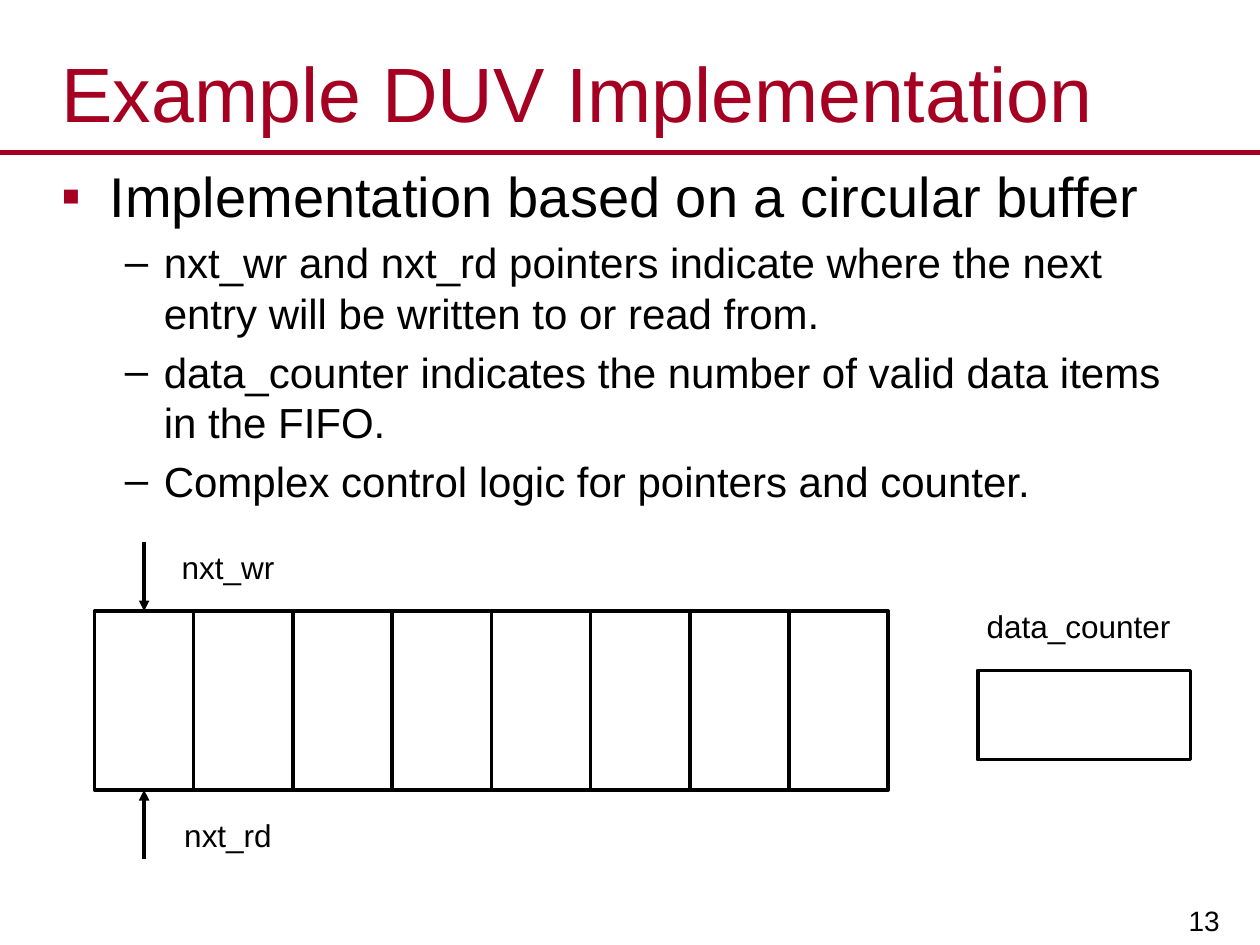
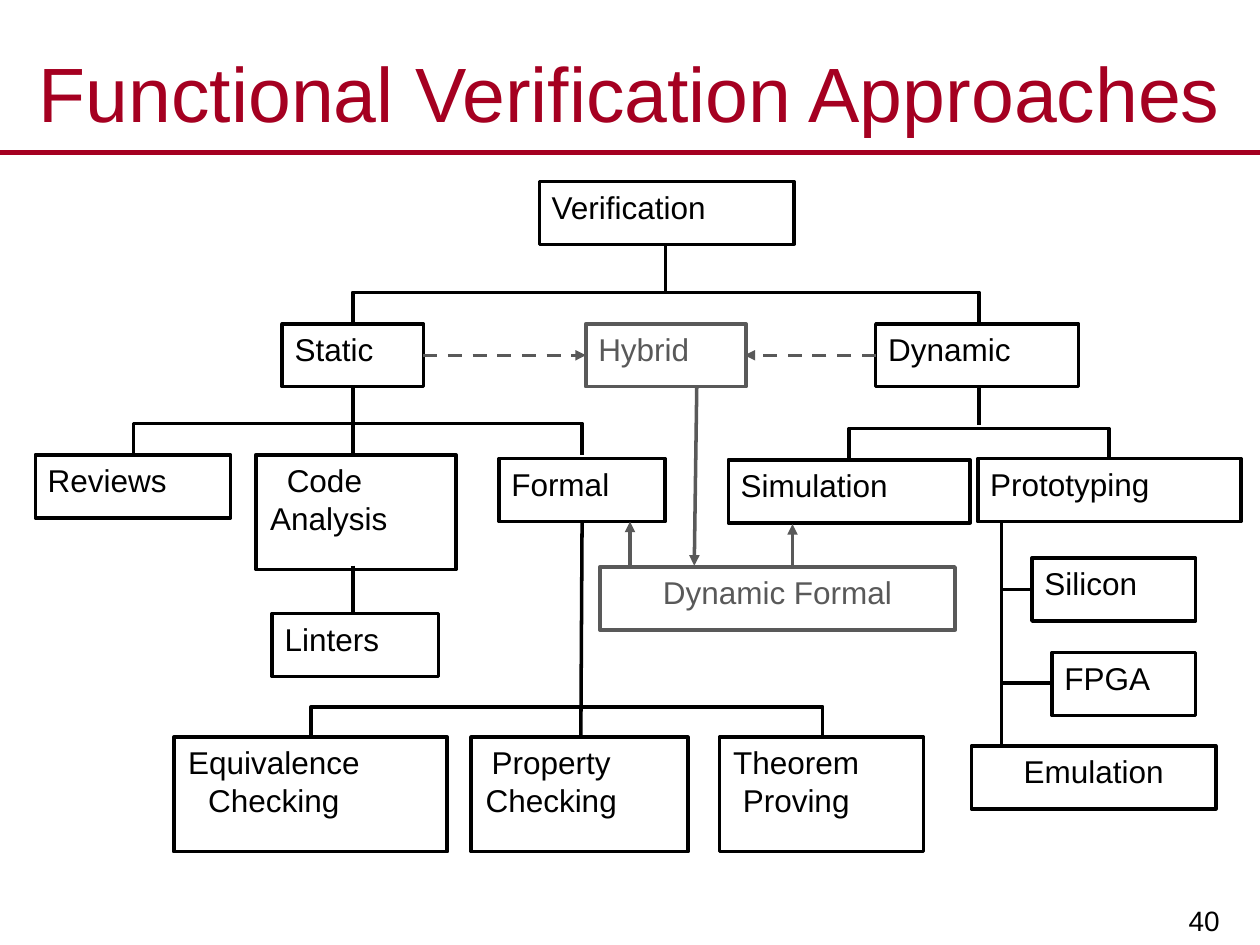
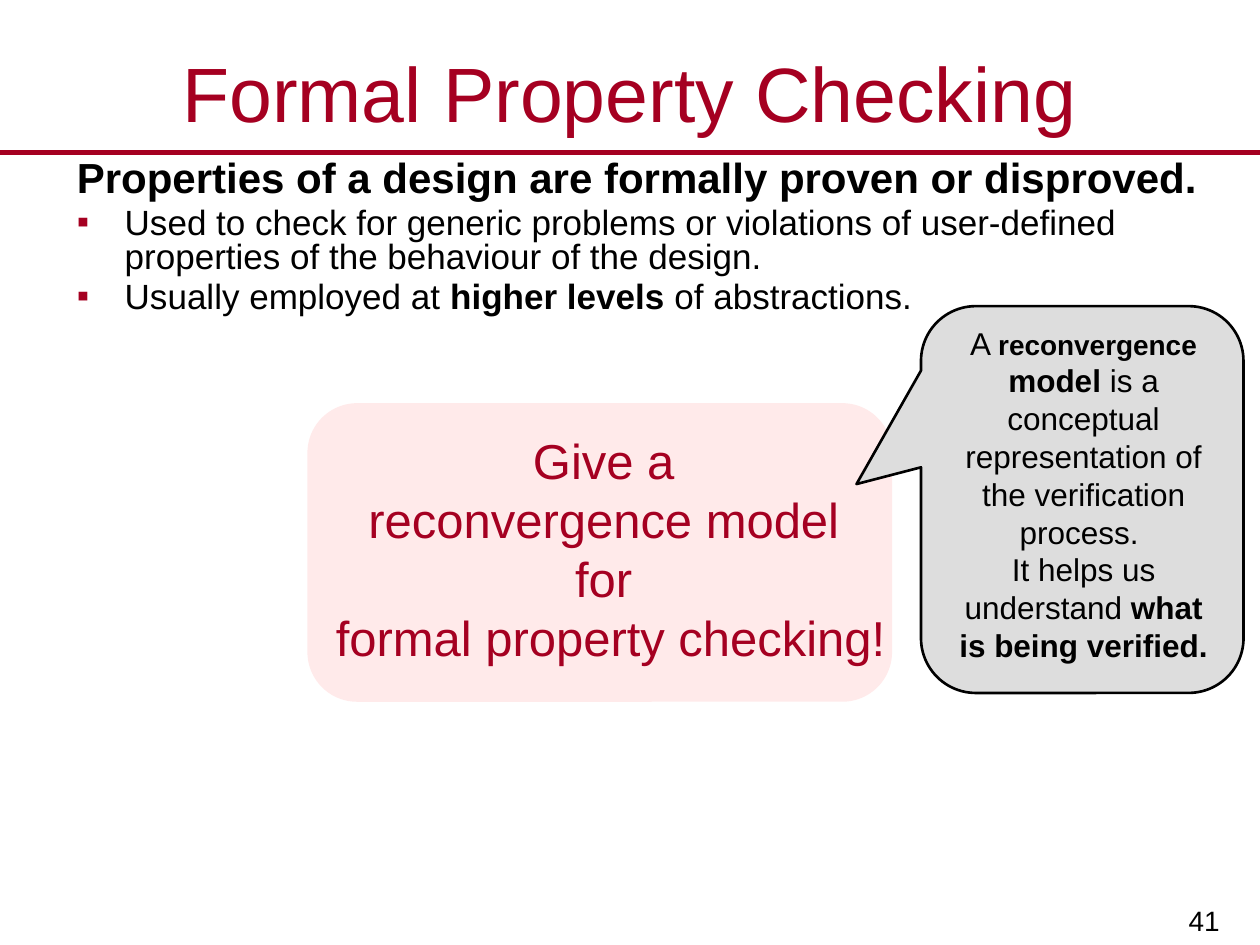
"""Build three slides on functional verification, laid out on a grid of 100 columns by 75 rows."""
from lxml.etree import SubElement
from pptx import Presentation
from pptx.dml.color import RGBColor
from pptx.enum.dml import MSO_LINE
from pptx.enum.shapes import MSO_CONNECTOR, MSO_SHAPE
from pptx.enum.text import MSO_ANCHOR, MSO_AUTO_SIZE, PP_ALIGN
from pptx.oxml.ns import qn
from pptx.util import Inches, Pt

FONT = "Arial"
RED = RGBColor(0xA5, 0x00, 0x21)
BLACK = RGBColor(0x00, 0x00, 0x00)
GREY = RGBColor(0x59, 0x59, 0x59)
SILVER = RGBColor(0xDD, 0xDD, 0xDD)
PINK = RGBColor(0xFF, 0xCC, 0xCC)

COLS, ROWS = 100, 75
TITLE_ONLY, TITLE_AND_BODY = 5, 1
CELLS = 8
LEG = 2.5

NODES = {
    "Verification": (42.8, 14.4, 20.2, 5),
    "Static": (22.4, 25.7, 11.2, 5),
    "Dynamic": (69.5, 25.7, 16.1, 5),
    "Reviews": (2.8, 36.1, 15.5, 5),
    "Formal": (39.6, 36.4, 13.2, 5),
    "Simulation": (57.8, 36.5, 19.2, 5),
    "Prototyping": (77.6, 36.4, 20.9, 5),
    "Linters": (21.6, 48.7, 13.2, 5),
    "Silicon": (81.9, 44.3, 13, 5),
    "FPGA": (83.5, 51.8, 11.4, 5),
}
PAIRS = [
    (("Code ", "Analysis"), (20.3, 36.1, 15.9, 9.1), 9.6),
    (("Equivalence", "Checking"), (13.8, 58.5, 21.7, 9.1), 13.9),
    (("Property", "Checking"), (37.4, 58.5, 17.2, 9.1), 10.7),
    (("Theorem", "Proving"), (57.1, 58.5, 16.2, 9.1), 10.2),
]
BRACKETS = [(28, 77.7, 25.7), (10.6, 46.2, 36.1), (67.4, 88, 36.5), (24.7, 65.3, 58.6)]
LINKS = [
    (52.8, 19.5, 52.8, 23.2), (28, 30.8, 28, 36.1), (77.7, 30.8, 77.7, 33.7),
    (28, 44.9, 28, 48.7), (46.2, 41.4, 46.1, 58.5), (79.5, 41.3, 79.5, 59.4),
    (79.5, 46.8, 81.9, 46.8), (79.5, 54.2, 83.3, 54.2),
]
HYBRID_ARROWS = [
    (62.9, 44.9, 62.9, 41.6, False), (50, 44.9, 50, 41.4, False),
    (55.3, 30.7, 55.1, 44.9, False), (33.6, 28.2, 46.5, 28.2, True),
    (69.5, 28.2, 59.1, 28.2, True),
]


def grid(*cells):
    """Turn grid counts into lengths."""
    return [Inches(n / 10) for n in cells]


def style(p, size, color=BLACK, align=None, bold=None):
    """Set the font and alignment of a paragraph."""
    p.font.name, p.font.size, p.font.bold = FONT, Pt(size), bold
    p.font.color.rgb = color
    p.alignment = align


def add_runs(p, runs):
    """Add runs given as text, or as text with bold and an optional size."""
    for run in [runs] if isinstance(runs, str) else runs:
        text, bold, size = (run, None, None) if isinstance(run, str) else (*run, None)[:3]
        r = p.add_run()
        r.text, r.font.bold = text, bold
        if size:
            r.font.size = Pt(size)


def write(sp, paragraphs, size, color=BLACK, align=PP_ALIGN.CENTER):
    """Write paragraphs at the top of a shape."""
    tf = sp.text_frame
    tf.word_wrap, tf.vertical_anchor = True, MSO_ANCHOR.TOP
    for i, runs in enumerate(paragraphs):
        p = tf.add_paragraph() if i else tf.paragraphs[0]
        style(p, size, color, align)
        add_runs(p, runs)
    return tf


def add_label(slide, cells, paragraphs, size=18, color=BLACK, align=PP_ALIGN.CENTER):
    """Add a plain text box."""
    return write(slide.shapes.add_textbox(*grid(*cells)), paragraphs, size, color, align)


def outline(sp, color=BLACK, width=2):
    """Leave a shape unfilled with a plain outline and no shadow."""
    sp.shadow.inherit = False
    sp.fill.background()
    sp.line.color.rgb, sp.line.width = color, Pt(width)
    return sp


def add_box(slide, cells, kind=MSO_SHAPE.RECTANGLE, color=BLACK, width=2):
    """Add an outlined shape."""
    return outline(slide.shapes.add_shape(kind, *grid(*cells)), color, width)


def add_line(slide, ends, color=BLACK, width=2, arrow=False, dashed=False):
    """Add a straight line, with an arrowhead at its end if wanted."""
    cx = slide.shapes.add_connector(MSO_CONNECTOR.STRAIGHT, *grid(*ends))
    cx.line.color.rgb, cx.line.width = color, Pt(width)
    if dashed:
        cx.line.dash_style = MSO_LINE.DASH
    sp_pr = cx._element.spPr
    if arrow:
        SubElement(sp_pr.find(qn("a:ln")), qn("a:tailEnd"), type="triangle")
    SubElement(sp_pr, qn("a:effectLst"))


def add_bracket(slide, left, right, bottom):
    """Join two nodes by a bar with a leg at each end."""
    start, *rest = [grid(*pt) for pt in (
        (left, bottom), (left, bottom - LEG), (right, bottom - LEG), (right, bottom))]
    builder = slide.shapes.build_freeform(*start)
    builder.add_line_segments(rest, close=False)
    outline(builder.convert_to_shape())


def place(sp, cells):
    """Move a placeholder onto the grid."""
    sp.left, sp.top, sp.width, sp.height = grid(*cells)
    sp.text_frame.auto_size = MSO_AUTO_SIZE.NONE
    return sp.text_frame


def add_slide(prs, layout, title, number):
    """Add a slide with its title, rule and number."""
    slide = prs.slides.add_slide(prs.slide_layouts[layout])
    add_line(slide, (0, 12.1, COLS, 12.1), RED, 3)
    tf = add_label(slide, (78, 69.3, 19.9, 5.7), [str(number)], 16, align=PP_ALIGN.RIGHT)
    tf.vertical_anchor = MSO_ANCHOR.BOTTOM
    tf.margin_left = tf.margin_right = Inches(0.11)
    tf.margin_top = tf.margin_bottom = Inches(0.06)
    tf = place(slide.shapes.title, (0, 3, COLS, 8.6))
    tf.vertical_anchor = MSO_ANCHOR.MIDDLE
    add_runs(tf.paragraphs[0], title)
    style(tf.paragraphs[0], 44, RED, PP_ALIGN.CENTER)
    return slide


def add_bullets(slide, cells, items, spacing=None):
    """Fill the body with items of bullet, level, size, bold and runs."""
    tf = place(slide.placeholders[1], cells)
    for i, (bullet, level, size, bold, runs) in enumerate(items):
        p = tf.add_paragraph() if i else tf.paragraphs[0]
        p.level, p.line_spacing = level, spacing
        p.space_before = Pt(size * 0.2 if i else 0)
        margin, indent = ((0.38, -0.38), (0.81, -0.31))[level]
        p_pr = p._p.get_or_add_pPr()
        p_pr.set("marL", str(Inches(margin)))
        p_pr.set("indent", str(Inches(indent)))
        if bullet:
            color = BLACK if level else RED
            SubElement(SubElement(p_pr, qn("a:buClr")), qn("a:srgbClr"), val=str(color))
            SubElement(p_pr, qn("a:buFont"), typeface=FONT)
            SubElement(p_pr, qn("a:buChar"), char=bullet)
        else:
            SubElement(p_pr, qn("a:buNone"))
        style(p, size, align=PP_ALIGN.LEFT, bold=bold)
        add_runs(p, runs)


def build_fifo(prs):
    """Build the slide on the circular buffer."""
    slide = add_slide(prs, TITLE_AND_BODY, "Example DUV Implementation", 13)
    slide.shapes.title.text_frame.margin_right = Inches(0.93)
    details = [
        "nxt_wr and nxt_rd pointers indicate where the next entry will be written to or read from.",
        "data_counter indicates the number of valid data items in the FIFO.",
        "Complex control logic for pointers and counter.",
    ]
    add_bullets(slide, (3.9, 12.3, 92.1, 29.1), [
        ("▪", 0, 32, None, "Implementation based on a circular buffer"),
        *[("–", 1, 24, None, text) for text in details]])
    left, top, width, height = buffer = (7.5, 48.5, 63, 14.2)
    cell, bottom = width / CELLS, top + height
    add_box(slide, buffer)
    for i in range(1, CELLS):
        add_line(slide, (left + i * cell, top, left + i * cell, bottom))
    pointer = left + cell / 2
    for start, end in ((top - 5.5, top), (bottom + 5.5, bottom)):
        add_line(slide, (pointer, start, pointer, end), arrow=True)
    add_label(slide, (11.4, 43, 13.4, 5), ["nxt_wr"])
    add_label(slide, (10.6, 64.3, 15, 5), ["nxt_rd"])
    add_box(slide, (77.6, 53.2, 16.9, 7.1))
    add_label(slide, (73.6, 47.7, 24, 5), ["data_counter"])


def build_approaches(prs):
    """Build the tree of verification approaches."""
    slide = add_slide(prs, TITLE_ONLY, "Functional Verification Approaches", 40)
    for name, cells in NODES.items():
        write(add_box(slide, cells), [name], 18, align=PP_ALIGN.LEFT)
    for lines, cells, text_width in PAIRS:
        tf = write(add_box(slide, cells), lines, 18)
        tf.margin_right = Inches((cells[2] - 1 - text_width) / 10)
    write(add_box(slide, (77.1, 59.2, 19.4, 5)), ["Emulation"], 18)
    write(add_box(slide, (46.5, 25.7, 12.7, 5), color=GREY), ["Hybrid"], 18, GREY, PP_ALIGN.LEFT)
    write(add_box(slide, (47.6, 45, 28.2, 5), color=GREY), ["Dynamic Formal"], 18, GREY)
    for bracket in BRACKETS:
        add_bracket(slide, *bracket)
    for link in LINKS:
        add_line(slide, link)
    for *ends, dashed in HYBRID_ARROWS:
        add_line(slide, ends, GREY, arrow=True, dashed=dashed)


def build_property_checking(prs):
    """Build the slide on formal property checking."""
    slide = add_slide(prs, TITLE_AND_BODY, "Formal Property Checking", 41)
    add_bullets(slide, (5.1, 12.3, 92.2, 14.4), [
        (None, 0, 24, True, "Properties of a design are formally proven or disproved."),
        ("▪", 0, 20, None, "Used to check for generic problems or violations of user-defined "
                           "properties of the behaviour of the design."),
        ("▪", 0, 20, None, ["Usually employed at ", ("higher levels ", True), "of abstractions."]),
    ], 0.8)
    panel = add_box(slide, (24.4, 32, 46.4, 23.7), MSO_SHAPE.ROUNDED_RECTANGLE)
    panel.line.fill.background()
    panel.fill.solid()
    panel.fill.fore_color.rgb = PINK
    tint = panel._element.spPr.find(qn("a:solidFill"))[0]
    SubElement(tint, qn("a:alpha"), val="41000")
    add_label(slide, (23.9, 33.7, 49.1, 19.9), [
        "Give a ", "reconvergence model ", "for ", "formal property checking!"], 28, RED)
    callout = add_box(slide, (73.1, 24.3, 25.6, 30.7),
                      MSO_SHAPE.ROUNDED_RECTANGULAR_CALLOUT, width=1.5)
    callout.fill.solid()
    callout.fill.fore_color.rgb = SILVER
    for i, value in enumerate((-0.7, -0.04, 0.17)):
        callout.adjustments[i] = value
    add_label(slide, (75.1, 25.2, 21.8, 28.3), [
        ["A ", ("reconvergence", True, 16), (" model ", True),
         "is a conceptual representation of the verification process. "],
        ["It helps us understand ", ("what is being verified.", True)]])


def main():
    """Build and save the presentation."""
    prs = Presentation()
    prs.slide_width, prs.slide_height = grid(COLS, ROWS)
    build_fifo(prs)
    build_approaches(prs)
    build_property_checking(prs)
    prs.save("out.pptx")


if __name__ == "__main__":
    main()
